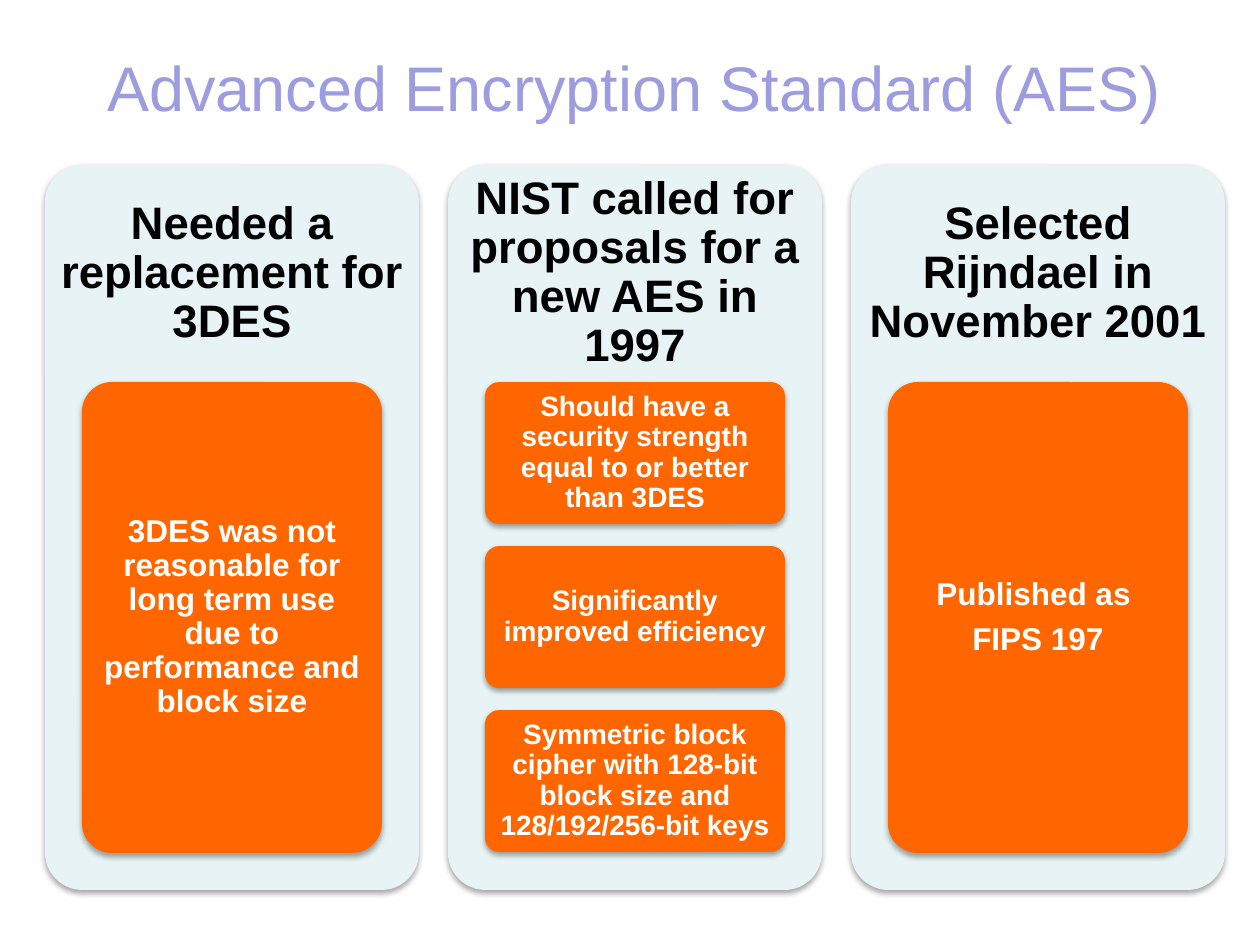
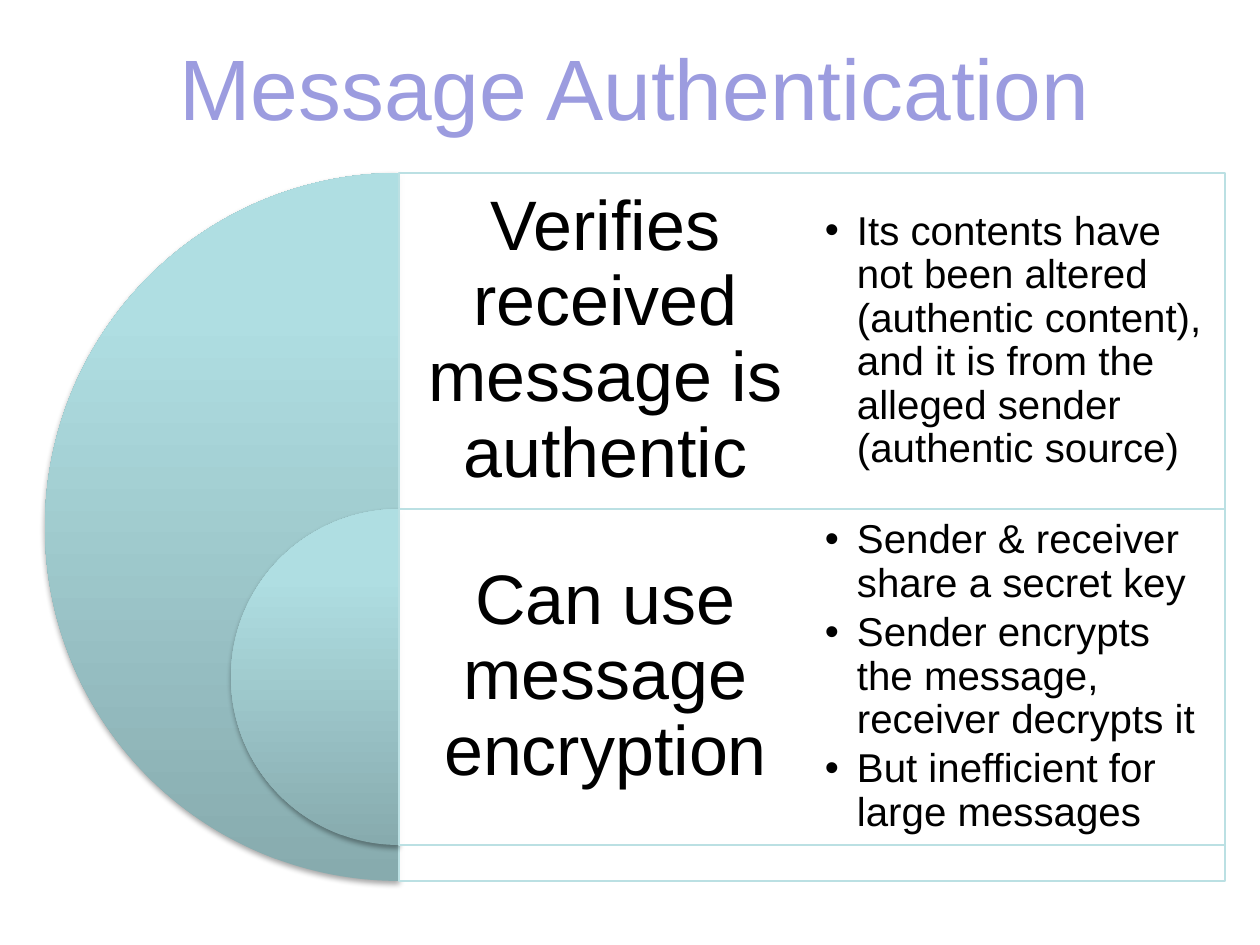
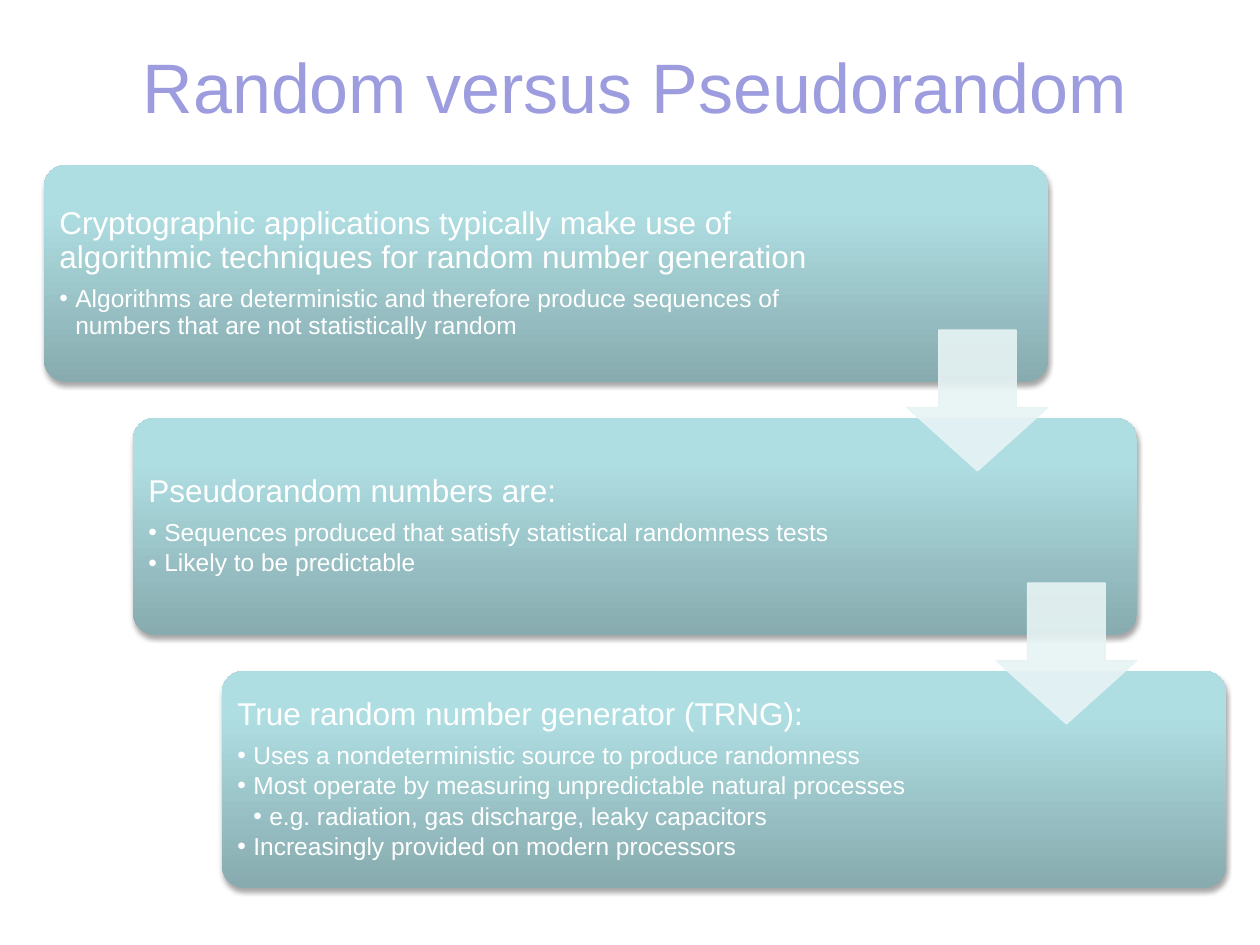
import copy
import dataclasses

import lxml.etree
import pptx
import pptx.dml.color
import pptx.enum.shapes
import pptx.enum.text
import pptx.oxml.ns
import pptx.util

SHAPE = pptx.enum.shapes.MSO_SHAPE
ALIGN = pptx.enum.text.PP_ALIGN
qn = pptx.oxml.ns.qn


def px(length):
    return pptx.util.Emu(round(length * 914400 / 126))


def rgb(value):
    return pptx.dml.color.RGBColor.from_string(value)


def add_child(parent, tag, **attributes):
    child = lxml.etree.SubElement(parent, qn(tag))
    for key, value in attributes.items():
        child.set(key, str(value))
    return child


@dataclasses.dataclass(frozen=True)
class Theme:
    font: str = "Arial"
    title: str = "9C9CDF"
    ink: str = "000000"
    white: str = "FFFFFF"
    accent: str = "FF6600"
    pale: str = "E7F3F4"
    outline: str = "BBE0E3"
    gradient: tuple = ((0, "87ABAE"), (0.8, "AFDEE2"), (1, "AFE0E4"))
    opacity: int = 90
    aes_title: int = 36
    authentication_title: int = 49
    random_title: int = 40
    column_head: int = 26
    card: int = 18
    small_card: int = 16
    row_head: int = 40
    row_bullet: int = 23
    step_head: int = 18
    step_bullet: int = 14


class Deck:
    def __init__(self, theme):
        self.theme = theme
        self.presentation = pptx.Presentation()
        self.presentation.slide_width = px(1260)
        self.presentation.slide_height = px(945)
        self.slide = None

    def new_slide(self, title, size):
        self.slide = self.presentation.slides.add_slide(
            self.presentation.slide_layouts[5])
        heading = self.slide.shapes.title
        heading.left, heading.top = px(44), px(26)
        heading.width, heading.height = px(1181), px(120)
        frame = heading.text_frame
        frame.text = title
        frame.word_wrap = True
        frame.auto_size = pptx.enum.text.MSO_AUTO_SIZE.NONE
        frame.vertical_anchor = pptx.enum.text.MSO_ANCHOR.MIDDLE
        frame.paragraphs[0].alignment = ALIGN.CENTER
        self.format_runs(frame.paragraphs[0], size, self.theme.title)

    def format_runs(self, paragraph, size, color, bold=False):
        for run in paragraph.runs:
            run.font.name = self.theme.font
            run.font.size = pptx.util.Pt(size)
            run.font.bold = bold
            run.font.color.rgb = rgb(color)

    def shape(self, kind, box, fill=None, line=None, adjust=(),
              translucent=False, shadow=False):
        """Draw a preset shape; without a fill colour it gets the gradient."""
        shape = self.slide.shapes.add_shape(kind, *map(px, box))
        for index, value in enumerate(adjust):
            shape.adjustments[index] = value
        if fill:
            shape.fill.solid()
            shape.fill.fore_color.rgb = rgb(fill)
        else:
            self.fill_gradient(shape)
        if line:
            shape.line.color.rgb = rgb(line)
            shape.line.width = pptx.util.Pt(0.75)
        else:
            shape.line.fill.background()
        if translucent:
            self.set_opacity(shape, fill, line)
        shape.shadow.inherit = False
        if shadow:
            self.drop_shadow(shape)
        return shape

    def fill_gradient(self, shape):
        shape.fill.gradient()
        shape.fill.gradient_angle = 90
        stops = shape._element.spPr.find(".//" + qn("a:gsLst"))
        stops.append(copy.deepcopy(stops[-1]))
        for stop, (position, color) in zip(shape.fill.gradient_stops,
                                           self.theme.gradient):
            stop.position = position
            stop.color.rgb = rgb(color)

    def set_opacity(self, shape, fill, line):
        properties = shape._element.spPr
        parts = [properties.find(qn("a:solidFill"))]
        if line == fill:
            parts.append(properties.find(qn("a:ln")).find(qn("a:solidFill")))
        for part in parts:
            add_child(part[0], "a:alpha", val=self.theme.opacity * 1000)

    def drop_shadow(self, shape):
        effects = shape._element.spPr.find(qn("a:effectLst"))
        outer = add_child(effects, "a:outerShdw", blurRad=pptx.util.Pt(3.1),
                          dist=pptx.util.Pt(1.8), dir=5400000, rotWithShape=0)
        color = add_child(outer, "a:srgbClr", val=self.theme.ink)
        add_child(color, "a:alpha", val=35000)

    def rounded(self, box, fill=None):
        return self.shape(SHAPE.ROUNDED_RECTANGLE, box, fill,
                          adjust=(0.1,), shadow=True)

    def text_box(self, box, *args, **kwargs):
        holder = self.slide.shapes.add_textbox(*map(px, box))
        self.set_text(holder, *args, **kwargs)

    def set_text(self, holder, items, sizes, color, insets,
                 align=ALIGN.CENTER, bold=False, hang=0):
        """Fill in (level, text) items; levels above 0 are bulleted."""
        frame = holder.text_frame
        frame.text = "\n".join(text for _, text in items)
        frame.word_wrap = True
        frame.vertical_anchor = pptx.enum.text.MSO_ANCHOR.MIDDLE
        (frame.margin_left, frame.margin_top,
         frame.margin_right, frame.margin_bottom) = map(px, insets)
        for paragraph, (level, _) in zip(frame.paragraphs, items):
            size = sizes[min(level, 1)]
            paragraph.alignment = align
            paragraph.line_spacing = 0.9
            paragraph.space_after = pptx.util.Pt(
                round(size * (0.15 if level else 0.35), 1))
            if level:
                paragraph.level = level
                properties = paragraph._p.get_or_add_pPr()
                properties.set("marL", str(px(hang * level)))
                properties.set("indent", str(px(-hang)))
                add_child(properties, "a:buFont", typeface=self.theme.font)
                add_child(properties, "a:buChar", char="•")
            self.format_runs(paragraph, size, color, bold)


def build_aes(deck):
    theme = deck.theme
    deck.new_slide("Advanced Encryption Standard (AES)", theme.aes_title)
    columns = [
        ("Needed a replacement for 3DES",
         [["3DES was not reasonable for long term use due to performance "
           "and block size"]]),
        ("NIST called for proposals for a new AES in 1997",
         [["Should have a security strength equal to or better than 3DES"],
          ["Significantly improved efficiency"],
          ["Symmetric block cipher with 128-bit block size and "
           "128/192/256-bit keys"]]),
        ("Selected Rijndael in November 2001",
         [["Published as ", "FIPS 197"]]),
    ]
    top, gap, stack_height = 165, 22, 471
    for index, (head, cards) in enumerate(columns):
        left = 45 + 403 * index
        deck.rounded((left, top, 374, 725), theme.pale)
        deck.text_box((left, top, 374, 217), [(0, head)],
                      (theme.column_head,), theme.ink, (14,) * 4, bold=True)
        # Cards share the height of the stack
        card_height = (stack_height - gap * (len(cards) - 1)) // len(cards)
        single = len(cards) == 1
        for row, lines in enumerate(cards):
            card = deck.rounded((left + 37, 382 + row * (card_height + gap),
                                 300, card_height), theme.accent)
            deck.set_text(card, [(0, line) for line in lines],
                          (theme.card if single else theme.small_card,),
                          theme.white, (6, 5) * 2 if single else (5, 4) * 2,
                          bold=True)


def build_authentication(deck):
    theme = deck.theme
    deck.new_slide("Message Authentication", theme.authentication_title)
    rows = [
        (708, "Verifies received message is authentic",
         ["Its contents have not been altered (authentic content), and it "
          "is from the alleged sender (authentic source)"]),
        (336, "Can use message encryption",
         ["Sender & receiver share a secret key",
          "Sender encrypts the message, receiver decrypts it",
          "But inefficient for large messages"]),
    ]
    axis, half, row_height = 399, 413, 336
    tops = [173 + row_height * index for index in range(len(rows))]
    # Half discs with their frames and headings
    for top, (diameter, head, _) in zip(tops, rows):
        deck.shape(SHAPE.PIE, (axis - diameter // 2, top, diameter, diameter),
                   adjust=(54, 162), shadow=True)
        deck.shape(SHAPE.RECTANGLE, (axis, top, 2 * half, diameter),
                   theme.white, theme.outline, translucent=True)
        deck.text_box((axis, top, half, row_height), [(0, head)],
                      (theme.row_head,), theme.ink, (21,) * 4)
    # Details
    for top, (_, _, details) in zip(tops, rows):
        deck.text_box((axis + half, top, half, row_height),
                      [(1, detail) for detail in details],
                      (theme.row_head, theme.row_bullet), theme.ink,
                      (13,) * 4, align=ALIGN.LEFT, hang=32)


def build_random(deck):
    theme = deck.theme
    deck.new_slide("Random versus Pseudorandom", theme.random_title)
    steps = [
        [(0, "Cryptographic applications typically make use of algorithmic "
             "techniques for random number generation"),
         (1, "Algorithms are deterministic and therefore produce sequences "
             "of numbers that are not statistically random")],
        [(0, "Pseudorandom numbers are:"),
         (1, "Sequences produced that satisfy statistical randomness tests"),
         (1, "Likely to be predictable")],
        [(0, "True random number generator (TRNG):"),
         (1, "Uses a nondeterministic source to produce randomness"),
         (1, "Most operate by measuring unpredictable natural processes"),
         (2, "e.g. radiation, gas discharge, leaky capacitors"),
         (1, "Increasingly provided on modern processors")],
    ]
    width, arrow = 1004, 141
    corners = [(44 + 89 * index, 165 + 253 * index)
               for index in range(len(steps))]
    for (left, top), lines in zip(corners, steps):
        step = deck.rounded((left, top, width, 217))
        deck.set_text(step, lines, (theme.step_head, theme.step_bullet),
                      theme.white, (9, 9, 232, 9), align=ALIGN.LEFT, hang=16)
    # Arrows from each step to the next
    for left, top in corners[:-1]:
        deck.shape(SHAPE.DOWN_ARROW,
                   (left + width - arrow, top + 165, arrow, arrow),
                   theme.pale, theme.pale, adjust=(0.55, 0.45),
                   translucent=True)


def main():
    deck = Deck(Theme())
    build_aes(deck)
    build_authentication(deck)
    build_random(deck)
    deck.presentation.save("out.pptx")


if __name__ == "__main__":
    main()
